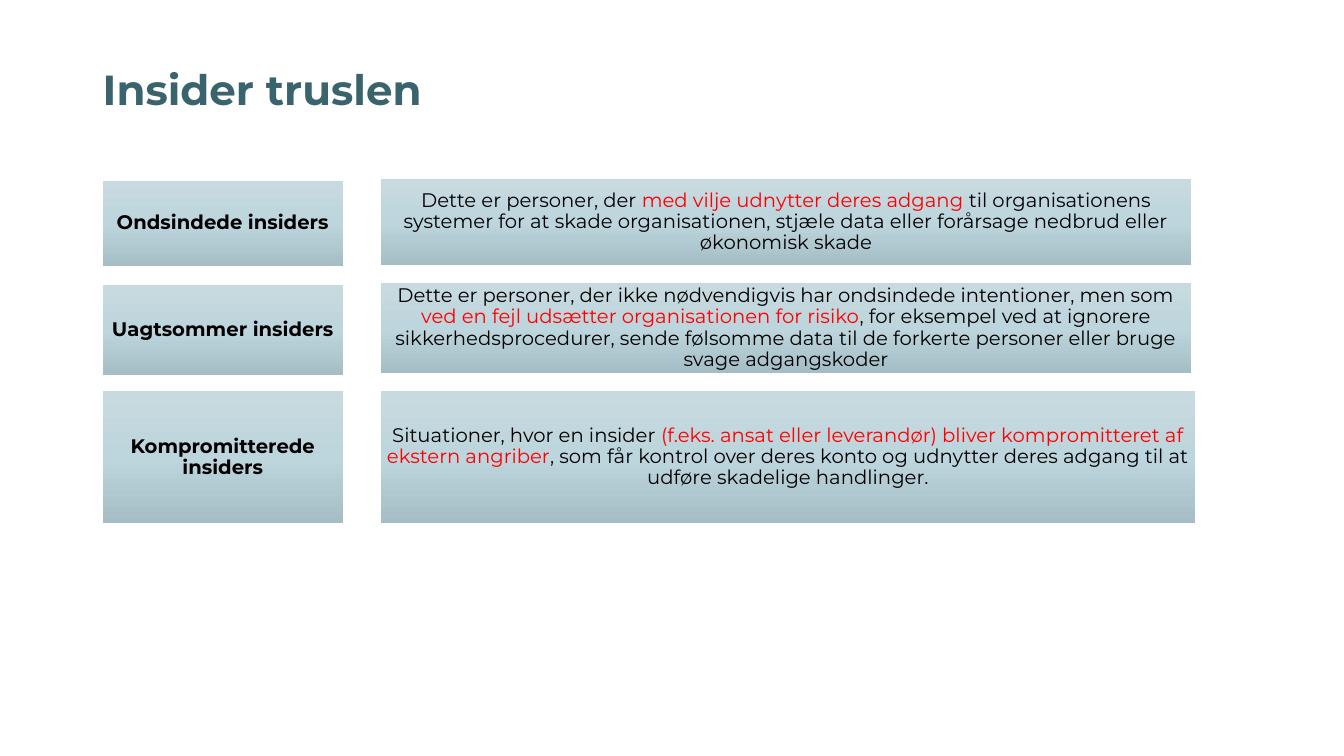
from lxml.etree import SubElement
from pptx import Presentation
from pptx.dml.color import RGBColor
from pptx.enum.shapes import MSO_SHAPE as Shape
from pptx.enum.text import MSO_ANCHOR as Anchor, PP_ALIGN as Align
from pptx.oxml.ns import qn
from pptx.util import Cm, Pt

FONT = "Montserrat"
TEAL, BLACK, RED = "3A646D", "000000", "FF0000"
PANEL_STOPS = [(0, "C7DAE0"), (50, "BDD5DC"), (100, "A5BEC6")]

LABEL_LEFT, LABEL_WIDTH = 2.59, 6.05
TEXT_LEFT = 9.6

# Each row: label, label top, text top, height, text width, spans of (wording, colour)
ROWS = [
    ("Ondsindede insiders", 4.55, 4.52, 2.16, 20.42, [
        ("Dette er personer, der ", BLACK),
        ("med vilje udnytter deres adgang ", RED),
        ("til organisationens systemer for at skade organisationen, stjæle data "
         "eller forårsage nedbrud eller økonomisk skade", BLACK)]),
    ("Uagtsommer insiders", 7.19, 7.14, 2.26, 20.42, [
        ("Dette er personer, der ikke nødvendigvis har ondsindede intentioner, men som ", BLACK),
        ("ved en fejl udsætter organisationen for risiko", RED),
        (", for eksempel ved at ignorere sikkerhedsprocedurer, sende følsomme data "
         "til de forkerte personer eller bruge svage adgangskoder", BLACK)]),
    ("Kompromitterede insiders", 9.86, 9.86, 3.33, 20.52, [
        ("Situationer, hvor en insider ", BLACK),
        ("(f.eks. ansat eller leverandør) bliver kompromitteret af ekstern angriber", RED),
        (", som får kontrol over deres konto og udnytter deres adgang til at "
         "udføre skadelige handlinger.", BLACK)]),
]


def colour(hex_code):
    return RGBColor.from_string(hex_code)


def write(frame, spans, size, bold=False, align=Align.LEFT):
    frame.word_wrap = True
    para = frame.paragraphs[0]
    para.alignment = align
    para.line_spacing = 0.9
    for wording, hex_code in spans:
        span = para.add_run()
        span.text = wording
        span.font.name = FONT
        span.font.size = Pt(size)
        span.font.bold = bold
        span.font.color.rgb = colour(hex_code)


def fill_gradient(shape, stops):
    """Fill the shape with a gradient that runs from top to bottom."""
    shape.fill.gradient()
    shape.fill.gradient_angle = 270
    stop_list = shape._element.spPr.find(qn("a:gradFill")).find(qn("a:gsLst"))
    for old_stop in list(stop_list):
        stop_list.remove(old_stop)
    for percent, hex_code in stops:
        stop = SubElement(stop_list, qn("a:gs"), pos=str(percent * 1000))
        SubElement(stop, qn("a:srgbClr"), val=str(colour(hex_code)))


def add_title(page, left, top, width, height):
    box = page.shapes.add_textbox(Cm(left), Cm(top), Cm(width), Cm(height))
    box.text_frame.vertical_anchor = Anchor.TOP
    write(box.text_frame, [("Insider truslen", TEAL)], 30, bold=True)


def add_panel(page, left, top, width, height, spans, bold=False):
    panel = page.shapes.add_shape(Shape.RECTANGLE, Cm(left), Cm(top), Cm(width), Cm(height))
    panel.shadow.inherit = False
    panel.line.fill.background()
    fill_gradient(panel, PANEL_STOPS)
    frame = panel.text_frame
    frame.margin_left = frame.margin_right = Cm(0.15)
    frame.margin_top = frame.margin_bottom = Cm(0.15)
    frame.vertical_anchor = Anchor.MIDDLE
    write(frame, spans, 14, bold, Align.CENTER)


def main():
    deck = Presentation()
    deck.slide_width, deck.slide_height = Cm(33.87), Cm(19.05)
    page = deck.slides.add_slide(deck.slide_layouts[6])

    # Heading
    add_title(page, 2.34, 1.63, 29.21, 2.57)

    # Insider types with their descriptions
    for label, label_top, text_top, height, text_width, spans in ROWS:
        add_panel(page, LABEL_LEFT, label_top, LABEL_WIDTH, height, [(label, BLACK)], bold=True)
        add_panel(page, TEXT_LEFT, text_top, text_width, height, spans)

    deck.save("out.pptx")


if __name__ == "__main__":
    main()
